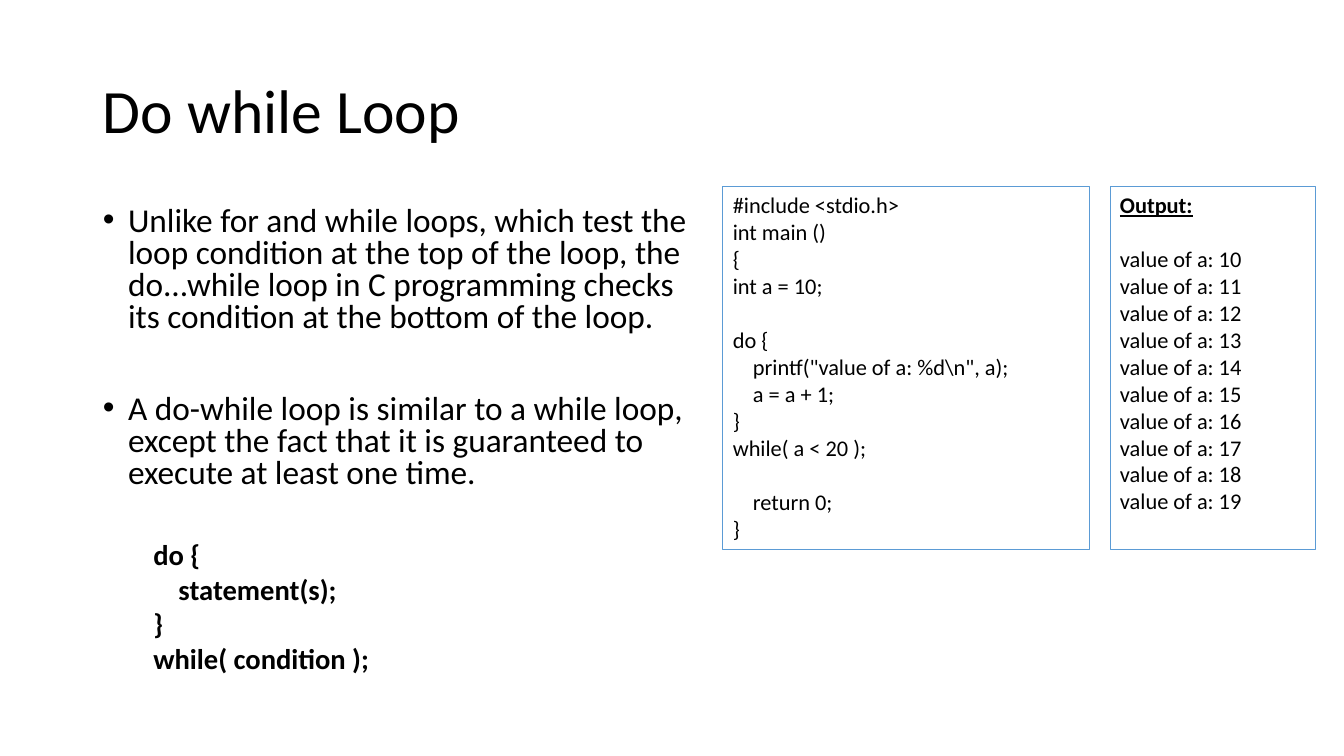
from lxml import etree
from pptx import Presentation
from pptx.dml.color import RGBColor
from pptx.enum.shapes import MSO_SHAPE
from pptx.enum.text import MSO_ANCHOR, MSO_AUTO_SIZE, PP_ALIGN
from pptx.oxml.ns import qn
from pptx.util import Inches, Pt

RECTANGLE = MSO_SHAPE.RECTANGLE
TOP, MIDDLE = MSO_ANCHOR.TOP, MSO_ANCHOR.MIDDLE
NO_AUTOFIT = MSO_AUTO_SIZE.NONE
LEFT = PP_ALIGN.LEFT
COLORS = {"text": "000000", "border": "5B9BD5"}
CODE_LINE = 19.5
CODE_INDENT = 0.2


class SlideBuilder:
    font_name = "Calibri"

    def __init__(self, slide):
        self.slide = slide

    def place(self, shape, box):
        for name, value in zip(("left", "top", "width", "height"), box):
            setattr(shape, name, Inches(value))

    def prepare_frame(self, shape, anchor):
        frame = shape.text_frame
        settings = {"word_wrap": True, "auto_size": NO_AUTOFIT, "vertical_anchor": anchor}
        for name, value in settings.items():
            setattr(frame, name, value)
        return frame

    def fill_paragraph(self, paragraph, text, size, spacing=1.0, before=0, level=0,
                       margin=0, hanging=0, bullet=None, **font_format):
        settings = {"alignment": LEFT, "line_spacing": spacing,
                    "space_before": Pt(before), "level": level}
        for name, value in settings.items():
            setattr(paragraph, name, value)
        properties = paragraph._p.get_or_add_pPr()
        properties.set("marL", str(Inches(margin)))
        properties.set("indent", str(Inches(-hanging)))
        if bullet:
            etree.SubElement(properties, qn("a:buFont")).set("typeface", "Arial")
            etree.SubElement(properties, qn("a:buChar")).set("char", bullet)
        else:
            etree.SubElement(properties, qn("a:buNone"))
        run = paragraph.add_run()
        run.text = text
        font_format = {"name": self.font_name, "size": Pt(size), **font_format}
        for name, value in font_format.items():
            setattr(run.font, name, value)
        run.font.color.rgb = RGBColor.from_string(COLORS["text"])

    def fill_frame(self, frame, lines, **shared):
        for index, (text, line_format) in enumerate(lines):
            paragraph = frame.add_paragraph() if index else frame.paragraphs[0]
            self.fill_paragraph(paragraph, text, **{**shared, **line_format})

    def title(self, text, box):
        shape = self.slide.shapes.title
        self.place(shape, box)
        frame = self.prepare_frame(shape, MIDDLE)
        self.fill_paragraph(frame.paragraphs[0], text, 44, spacing=0.9)

    def body(self, lines, box):
        shape = self.slide.placeholders[1]
        self.place(shape, box)
        self.fill_frame(self.prepare_frame(shape, TOP), lines, spacing=0.8)

    def panel(self, lines, box):
        shape = self.slide.shapes.add_shape(RECTANGLE, *map(Inches, box))
        shape.shadow.inherit = False
        shape.fill.background()
        shape.line.color.rgb = RGBColor.from_string(COLORS["border"])
        shape.line.width = Pt(0.75)
        self.fill_frame(self.prepare_frame(shape, TOP), lines, size=16)


def main():
    presentation = Presentation()
    presentation.slide_width = Inches(13.33)
    presentation.slide_height = Inches(7.5)
    builder = SlideBuilder(presentation.slides.add_slide(presentation.slide_layouts[1]))

    point = {"size": 23.8, "before": 10, "margin": 0.25, "hanging": 0.25, "bullet": "•"}
    syntax = {"size": 20.4, "before": 5, "margin": 0.5, "level": 1, "bold": True}
    indented = {"margin": CODE_INDENT}
    after_gap = {"before": CODE_LINE}

    builder.title("Do while Loop", (0.92, 0.4, 11.5, 1.45))
    builder.body([
        ("Unlike for and while loops, which test the loop condition at the top of the loop, "
         "the do...while loop in C programming checks its condition at the bottom of the loop.",
         point),
        ("A do-while loop is similar to a while loop, except the fact that it is guaranteed "
         "to execute at least one time.", {**point, "before": 43}),
        ("do {", {**syntax, "before": 38}),
        ("statement(s);", {**syntax, "margin": 0.75}),
        ("}", syntax),
        ("while( condition );", syntax),
    ], (0.92, 2, 6.06, 4.76))
    builder.panel([
        ("#include <stdio.h>", {}),
        ("int main ()", {}),
        ("{", {}),
        ("int a = 10;", {}),
        ("do {", after_gap),
        ('printf("value of a: %d\\n", a);', indented),
        ("a = a + 1;", indented),
        ("}", {}),
        ("while( a < 20 );", {}),
        ("return 0;", {**indented, **after_gap}),
        ("}", {}),
    ], (7.17, 1.85, 3.64, 3.6))
    output = [(f"value of a: {value}", after_gap if value == 10 else {})
              for value in range(10, 20)]
    builder.panel([("Output:", {"bold": True, "underline": True}), *output],
                  (11.01, 1.85, 2.04, 3.6))
    presentation.save("out.pptx")


if __name__ == "__main__":
    main()
